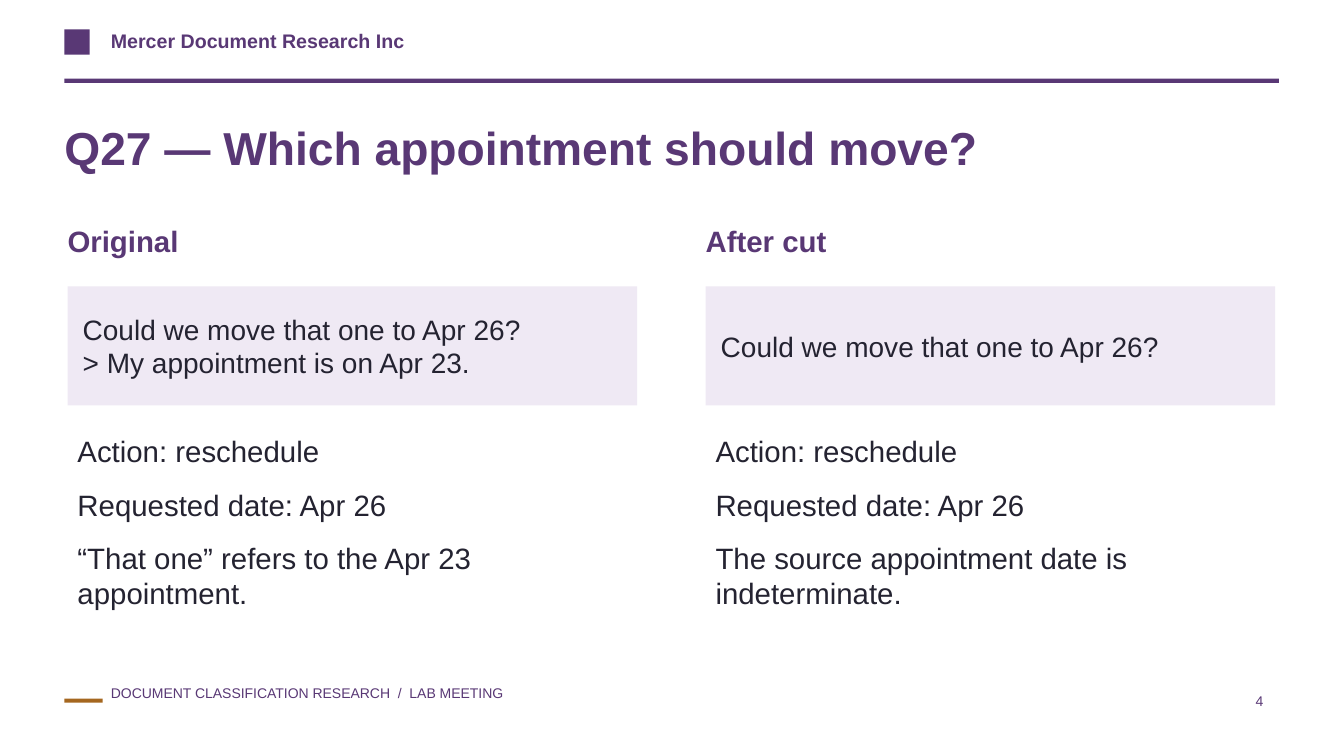
from pptx import Presentation
from pptx.dml.color import RGBColor
from pptx.enum.shapes import MSO_SHAPE
from pptx.enum.text import MSO_ANCHOR, PP_ALIGN
from pptx.util import Pt

PLUM = RGBColor(0x59, 0x38, 0x75)
AMBER = RGBColor(0xA5, 0x67, 0x20)
LILAC = RGBColor(0xEF, 0xE9, 0xF4)
INK = RGBColor(0x24, 0x23, 0x31)

EDGE = 46
WIDE = 406.8
SIDES = [
    (48.24, "Original",
     ["Could we move that one to Apr 26?", "> My appointment is on Apr 23."],
     "“That one” refers to the Apr 23 appointment."),
    (504, "After cut",
     ["Could we move that one to Apr 26?"],
     "The source appointment date is indeterminate."),
]


class Page:
    """Draws styled elements on one slide, with lengths in points."""

    font = "Arial"

    def __init__(self, slide):
        self.shapes = slide.shapes

    def fill_text(self, shape, lines, size, color, bold=False, after=0,
                  align=PP_ALIGN.LEFT, inset=(0, 0, 0, 0)):
        frame = shape.text_frame
        frame.word_wrap = True
        (frame.margin_left, frame.margin_top,
         frame.margin_right, frame.margin_bottom) = map(Pt, inset)
        frame.text = "\n".join(lines)
        for para in frame.paragraphs:
            para.alignment = align
            para.space_after = Pt(after)
            for run in para.runs:
                run.font.name = self.font
                run.font.size = Pt(size)
                run.font.bold = bold
                run.font.color.rgb = color

    def text(self, box, lines, size, color=PLUM, **style):
        shape = self.shapes.add_textbox(*map(Pt, box))
        self.fill_text(shape, lines, size, color, **style)

    def block(self, box, fill):
        shape = self.shapes.add_shape(MSO_SHAPE.RECTANGLE, *map(Pt, box))
        shape.shadow.inherit = False
        shape.fill.solid()
        shape.fill.fore_color.rgb = fill
        shape.line.fill.background()
        return shape

    def quote(self, box, lines):
        shape = self.block(box, LILAC)
        self.fill_text(shape, lines, 20, INK, inset=(10.8, 3.6, 7.2, 3.6))
        shape.text_frame.vertical_anchor = MSO_ANCHOR.MIDDLE


def main():
    deck = Presentation()
    deck.slide_width, deck.slide_height = Pt(960), Pt(540)
    page = Page(deck.slides.add_slide(deck.slide_layouts[6]))
    pad = (7.2, 3.6, 7.2, 3.6)

    page.block((EDGE, 21, 18, 18), PLUM)
    page.text((79.2, 21, 223.2, 21.6), ["Mercer Document Research Inc"], 14, bold=True)
    page.block((EDGE, 56.2, 867.6, 3), PLUM)
    page.text((EDGE, 85, 867, 56), ["Q27 — Which appointment should move?"],
              33, bold=True, after=8)

    for left, head, mail, note in SIDES:
        page.text((left, 159, WIDE, 34.5), [head], 21, bold=True, after=8)
        page.quote((left, 204.5, WIDE, 85), mail)
        page.text((left, 306, WIDE, 144),
                  ["Action: reschedule", "Requested date: Apr 26", note],
                  21, INK, after=13, inset=pad)

    page.block((EDGE, 499, 27.4, 3), AMBER)
    page.text((79.2, 489, 309.6, 25.2),
              ["DOCUMENT CLASSIFICATION RESEARCH  /  LAB MEETING"], 10)
    page.text((855.4, 491, 54, 23), ["4"], 10, align=PP_ALIGN.RIGHT, inset=pad)
    deck.save("out.pptx")


if __name__ == "__main__":
    main()
